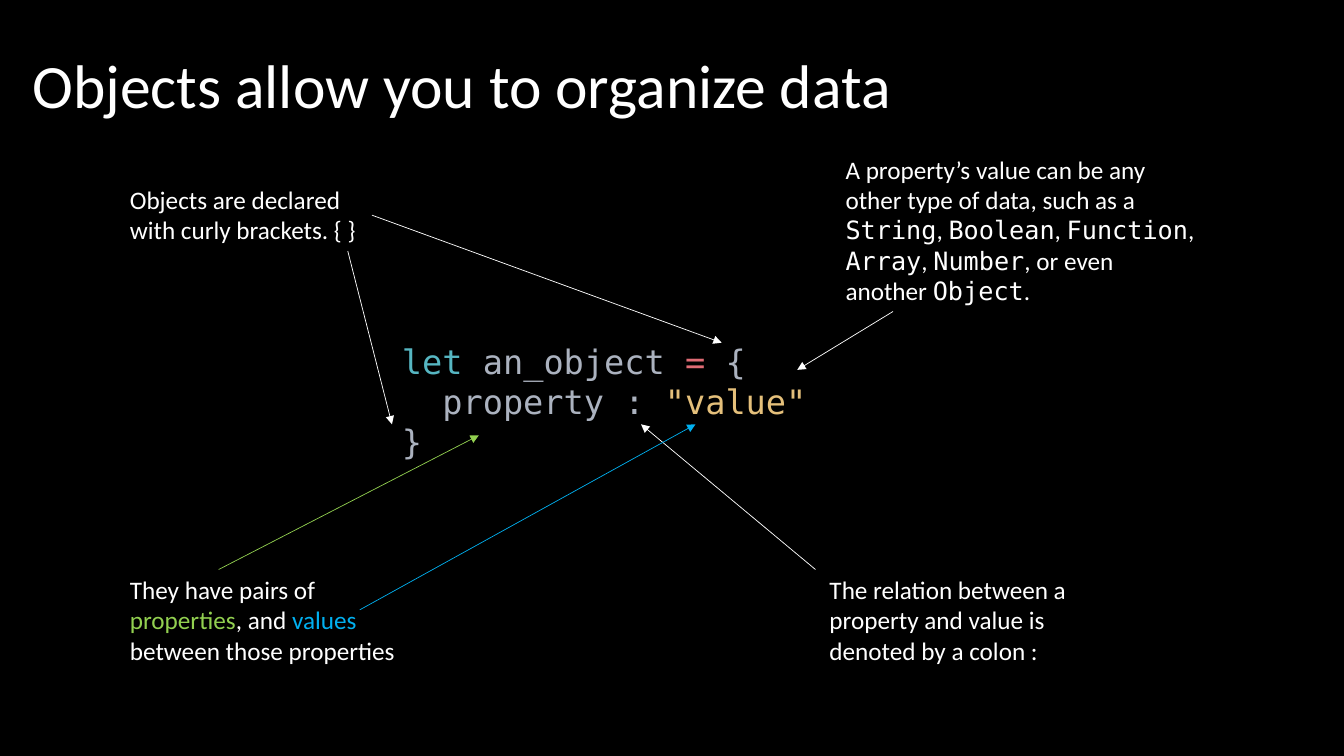
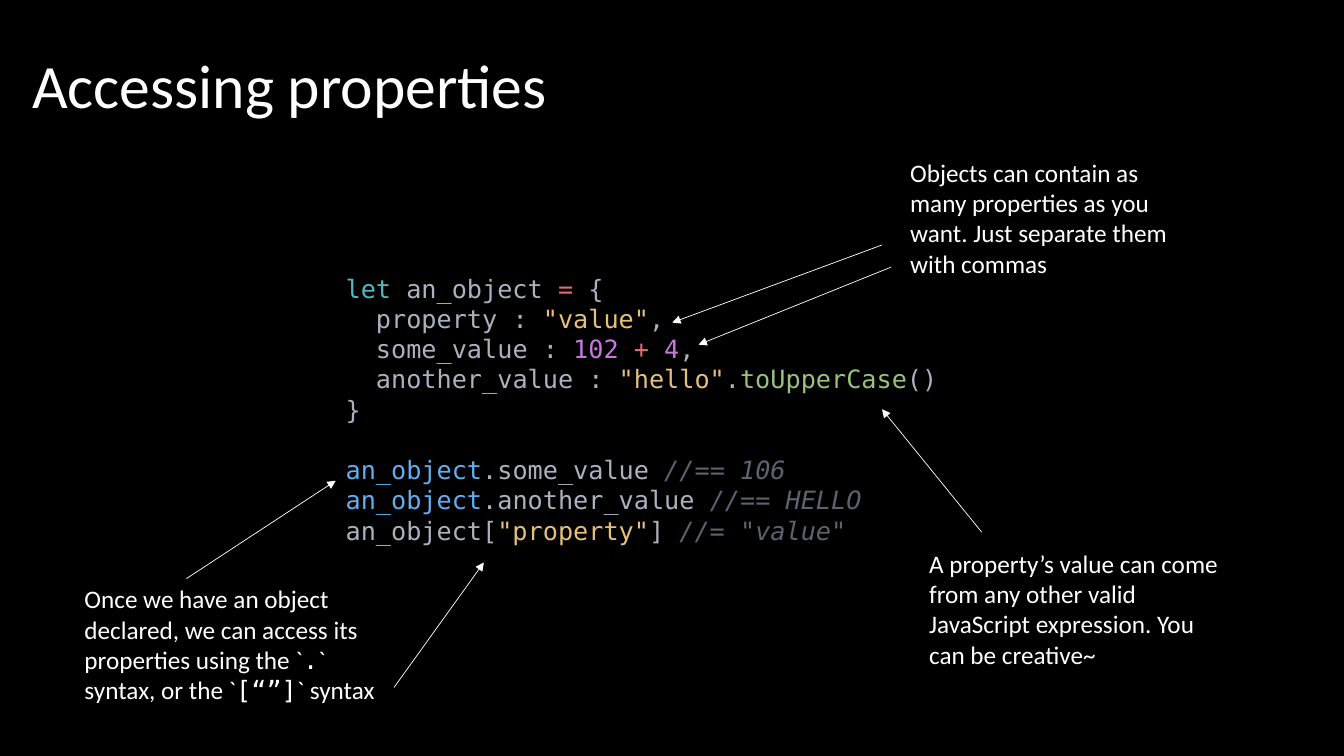
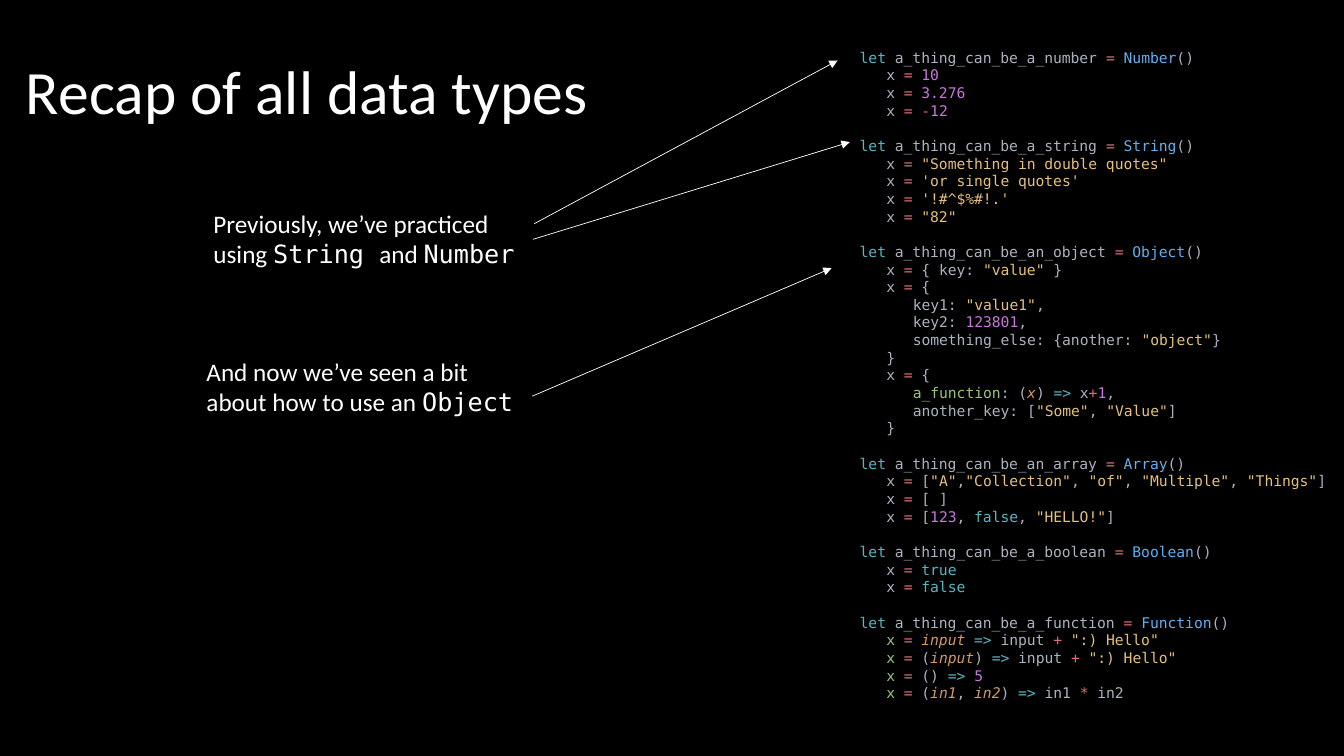
import pptx
import pptx.dml.color
import pptx.enum.shapes
import pptx.enum.text
import pptx.oxml
import pptx.oxml.ns
import pptx.util

Pt = pptx.util.Pt
COLORS = {
    "black": "000000",
    "white": "FFFFFF",
    "property": "92D050",
    "value": "00B0F0",
    "keyword": "56B6C2",
    "plain": "ABB2BF",
    "operator": "E06C75",
    "string": "E5C07B",
    "number": "C678DD",
    "method": "98C379",
    "builtin": "61AFEF",
    "comment": "5C6370",
    "parameter": "D19A66",
}
PROSE = "Calibri"
MONO = "DejaVu Sans Mono"
STYLES = {
    "w": (PROSE, "white", False),
    "p": (PROSE, "property", False),
    "v": (PROSE, "value", False),
    "t": (MONO, "white", False),
    "k": (MONO, "keyword", False),
    "n": (MONO, "plain", False),
    "o": (MONO, "operator", False),
    "s": (MONO, "string", False),
    "d": (MONO, "number", False),
    "m": (MONO, "method", False),
    "b": (MONO, "builtin", False),
    "c": (MONO, "comment", True),
    "a": (MONO, "parameter", True),
}
MONO_ADVANCE = 0.602
CODE_LEADING = 1.2
TITLE_BOX = (16, 11, 828, 104)

SLIDES = [
    {
        "title": "Objects allow you to organize data",
        "title_box": TITLE_BOX,
        "code_box": (280, 239.8, 317, 94.3),
        "code_size": 24,
        "code": [
            """§klet §nan_object §o=§n {
  §nproperty : §s"value"
§n}""",
        ],
        "notes": [
            ((85.7, 128.2, 180, 51), "§wObjects are declared with curly brackets. { }"),
            ((85.7, 406.8, 214.6, 72.7),
             "§wThey have pairs of §pproperties§w, and §vvalues§w between those properties"),
            ((585.4, 406.8, 214.6, 72.7),
             "§wThe relation between a property and value is denoted by a colon :"),
            ((596.9, 106.6, 263.5, 116.6),
             "§wA property’s value can be any other type of data, such as a §tString§w, §tBoolean§w, "
             "§tFunction§w, §tArray§w, §tNumber§w, or even another §tObject§w."),
        ],
        "arrows": [
            ((265.7, 153.7), (515.5, 244.8), "white", 0),
            ((248.4, 179.3), (280, 303.1), "white", None),
            ((582.5, 406.8), (457.9, 303.1), "white", None),
            ((156.2, 406.8), (342, 311), "property", None),
            ((257, 435.6), (496.8, 303.1), "value", None),
            ((637.9, 222.5), (569.5, 264.2), "white", None),
        ],
    },
    {
        "title": "Accessing properties",
        "title_box": TITLE_BOX,
        "code_box": (239.8, 191.5, 480.2, 225.4),
        "code_size": 18,
        "code": [
            """§klet §nan_object §o=§n {
  §nproperty : §s"value"§n,
  §nsome_value : §d102 §o+ §d4§n,
  §nanother_value : §s"hello"§n.§mtoUpperCase§n()
§n}""",
            """§ban_object§n.some_value §c//== 106
§ban_object§n.another_value §c//== HELLO
§nan_object[§s"property"§n] §c//= "value\"""",
        ],
        "notes": [
            ((643, 108.7, 200.9, 94.3),
             "§wObjects can contain as many properties as you want. Just separate them with commas"),
            ((656.6, 388.1, 227.5, 94.3),
             "§wA property’s value can come from any other valid JavaScript expression. "
             "You can be creative~"),
            ((53.3, 413.3, 227.5, 94.3),
             "§wOnce we have an object declared, we can access its properties using the `"
             "§t.§w` syntax, or the `§t[“”]§w` syntax"),
        ],
        "arrows": [
            ((636.5, 190.8), (499, 246.2), "white", None),
            ((630, 175), (480.2, 230.4), "white", None),
            ((701.3, 380.2), (630, 292.3), "white", None),
            ((133.2, 413.3), (239.8, 343.4), "white", None),
            ((281.5, 491), (345.6, 401.8), "white", None),
        ],
    },
    {
        "title": "Recap of all data types",
        "title_box": (11.5, 15.1, 493.9, 104.4),
        "code_box": (607, 31, 353, 503.3),
        "code_size": 10.5,
        "code": [
            """§klet §na_thing_can_be_a_number §o= §bNumber§n()
   §nx §o= §d10
   §nx §o= §d3.276
   §nx §o= -§d12""",
            """§klet §na_thing_can_be_a_string §o= §bString§n()
   §nx §o= §s"Something in double quotes"
   §nx §o= §s'or single quotes'
   §nx §o= §s'!#^$%#!.'
   §nx §o= §s"82\"""",
            """§klet §na_thing_can_be_an_object §o= §bObject§n()
   §nx §o=§n { key: §s"value"§n }
   §nx §o=§n {
      §nkey1: §s"value1"§n,
      §nkey2: §d123801§n,
      §nsomething_else: {another: §s"object"§n}
   §n}
   §nx §o=§n {
      §ma_function§n: (§ax§n) §k=>§n x§o+§d1§n,
      §nanother_key: [§s"Some"§n, §s"Value"§n]
   §n}""",
            """§klet §na_thing_can_be_an_array §o= §bArray§n()
   §nx §o=§n [§s"A"§n,§s"Collection"§n, §s"of"§n, §s"Multiple"§n, §s"Things"§n]
   §nx §o=§n [ ]
   §nx §o=§n [§d123§n, §kfalse§n, §s"HELLO!"§n]""",
            """§klet §na_thing_can_be_a_boolean §o= §bBoolean§n()
   §nx §o= §ktrue
   §nx §o= §kfalse""",
            """§klet §na_thing_can_be_a_function §o= §bFunction§n()
   §mx §o= §ainput §k=>§n input §o+ §s":) Hello"
   §mx §o=§n (§ainput§n) §k=>§n input §o+ §s":) Hello"
   §mx §o=§n () §k=> §d5
   §mx §o=§n (§ain1§n, §ain2§n) §k=>§n in1 §o*§n in2""",
        ],
        "notes": [
            ((145.4, 145.4, 235.4, 51.1),
             "§wPreviously, we’ve practiced using §tString §wand §tNumber"),
            ((140.4, 250.6, 235.4, 51.1),
             "§wAnd now we’ve seen a bit about how to use an §tObject"),
        ],
        "arrows": [
            ((381.6, 159.8), (598.3, 43.2), "white", None),
            ((380.8, 171), (607, 101.5), "white", 0),
            ((380.2, 283), (594, 191.5), "white", None),
        ],
    },
]


def add_text(slide, box, blocks, size, leading=None):
    text_box = slide.shapes.add_textbox(*map(Pt, box))
    frame = text_box.text_frame
    frame.word_wrap = True
    paragraph = None
    for block in blocks:
        gap = size * CODE_LEADING if paragraph else 0
        for line in block.split("\n"):
            paragraph = frame.add_paragraph() if paragraph else frame.paragraphs[0]
            paragraph.space_before = Pt(gap)
            gap = 0
            if leading:
                paragraph.line_spacing = leading
            indent = len(line) - len(line.lstrip())
            if indent:
                margin = Pt(indent * size * MONO_ADVANCE)
                paragraph._p.get_or_add_pPr().set("marL", str(margin))
            for piece in line.split("§")[1:]:
                family, color, italic = STYLES[piece[0]]
                run = paragraph.add_run()
                run.text = piece[1:]
                run.font.name = family
                run.font.size = Pt(size)
                run.font.italic = italic
                run.font.color.rgb = pptx.dml.color.RGBColor.from_string(COLORS[color])
    return text_box


def add_arrow(slide, start, end, color, origin):
    arrow = slide.shapes.add_connector(
        pptx.enum.shapes.MSO_CONNECTOR.STRAIGHT, *map(Pt, start + end))
    if origin is not None:
        arrow.begin_connect(origin, 3)
    arrow.line.width = Pt(0.5)
    arrow.line.color.rgb = pptx.dml.color.RGBColor.from_string(COLORS[color])
    tail = pptx.oxml.parse_xml(
        f'<a:tailEnd {pptx.oxml.ns.nsdecls("a")} type="triangle"/>')
    arrow.line._get_or_add_ln().append(tail)
    arrow._element.spPr.append(
        pptx.oxml.parse_xml(f'<a:effectLst {pptx.oxml.ns.nsdecls("a")}/>'))


deck = pptx.Presentation()
deck.slide_width = Pt(960)
deck.slide_height = Pt(540)
backdrop = deck.slide_master.background.fill
backdrop.solid()
backdrop.fore_color.rgb = pptx.dml.color.RGBColor.from_string(COLORS["black"])

for content in SLIDES:
    slide = deck.slides.add_slide(deck.slide_layouts[6])
    title = add_text(slide, content["title_box"], ["§w" + content["title"]], 44, 0.9)
    title.text_frame.vertical_anchor = pptx.enum.text.MSO_ANCHOR.MIDDLE
    code_size = content["code_size"]
    add_text(slide, content["code_box"], content["code"], code_size,
             Pt(code_size * CODE_LEADING))
    notes = [add_text(slide, box, [text], 18) for box, text in content["notes"]]
    for start, end, color, note in content["arrows"]:
        add_arrow(slide, start, end, color, None if note is None else notes[note])

deck.save("out.pptx")
